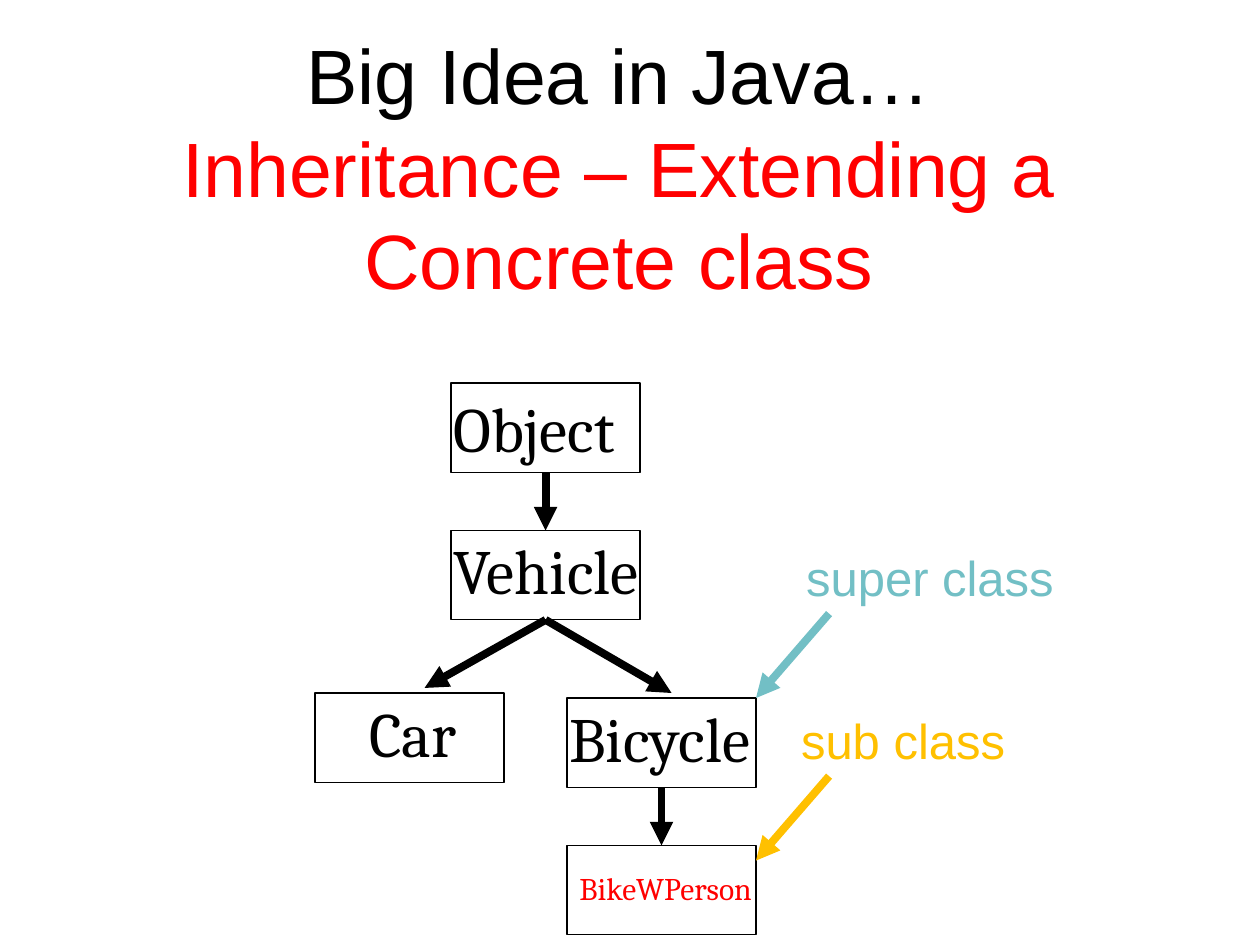
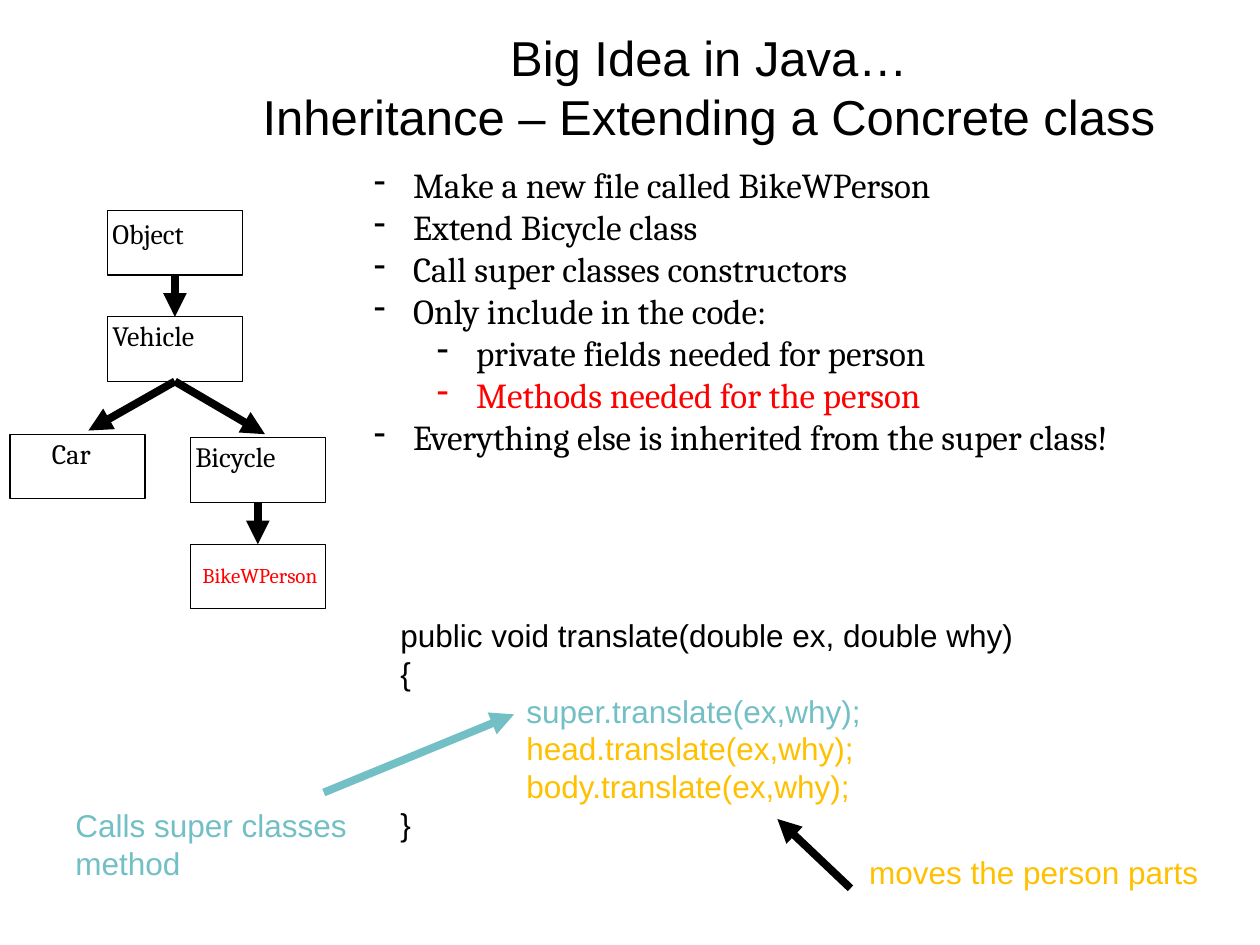
"""Build two slides on extending a concrete class in Java."""
from pptx import Presentation
from pptx.dml.color import RGBColor
from pptx.enum.shapes import MSO_CONNECTOR as Line, MSO_SHAPE as Shape
from pptx.enum.text import MSO_ANCHOR as Anchor, MSO_AUTO_SIZE as Fit, PP_ALIGN as Align
from pptx.oxml.ns import qn
from pptx.util import Inches, Pt
from lxml.etree import SubElement

BLACK, RED, TEAL, GOLD = "000000", "FF0000", "72BFC5", "FFC000"
paint = RGBColor.from_string


def write(shape, lines, size, font="Arial", align=Align.LEFT, pad=(0.1, 0.05, 0.1)):
    """Fill a shape with paragraphs, each a list of (text, colour) runs."""
    frame = shape.text_frame
    frame.word_wrap, frame.auto_size = True, Fit.NONE
    frame.vertical_anchor = Anchor.TOP
    frame.margin_left, frame.margin_top, frame.margin_right = map(Inches, pad)
    frame.margin_bottom = 0
    for i, runs in enumerate(lines):
        para = frame.add_paragraph() if i else frame.paragraphs[0]
        para.alignment = align
        for text, tint in runs:
            run = para.add_run()
            run.text = text
            run.font.size, run.font.name = Pt(size), font
            run.font.color.rgb = paint(tint)
    return frame.paragraphs


def arrow(slide, start, end, tint=BLACK):
    """Draw a thick arrow between two points in inches."""
    line = slide.shapes.add_connector(Line.STRAIGHT, *map(Inches, (*start, *end)))
    line.line.color.rgb, line.line.width = paint(tint), Pt(4.5)
    SubElement(line.line._get_or_add_ln(), qn("a:tailEnd"), type="triangle")
    SubElement(line._element.spPr, qn("a:effectLst"))
    return line


deck = Presentation()
deck.slide_width, deck.slide_height = Inches(10), Inches(7.5)

tree = {
    "Object": (1.08, 0, 0, 0.05),
    "Vehicle": (1.08, 1.17, 0, 0.01),
    "Car": (0, 2.46, 0.41, 0.01),
    "Bicycle": (2, 2.5, 0, 0.01),
    "BikeWPerson": (2, 3.67, 0.08, 0.19),
}
links = [("Object", "Vehicle", None), ("Vehicle", "Car", (0.87, 2.42)),
         ("Vehicle", "Bicycle", (2.83, 2.46)), ("Bicycle", "BikeWPerson", None)]

plans = [
    (7.83, 2.3, 44, RED, 2.5, 3.04, 1, 1, 36, 18, 0.02, 0),
    (9.25, 1.04, 28, BLACK, 0.08, 1.67, 0.715, 0.722, 16, 12, 0.04, 0.01),
]
for wide, high, size, tint, left, top, kx, ky, big, small, inset, sink in plans:
    slide = deck.slides.add_slide(deck.slide_layouts[5])
    title = slide.shapes.title
    title.left, title.top = Inches(1), Inches(0.17)
    title.width, title.height = Inches(wide), Inches(high)
    write(title, [[("Big Idea in Java…", BLACK)],
                  [("Inheritance – Extending a Concrete class", tint)]],
          size, align=Align.CENTER)

    boxes = {}
    for name, (x, y, shift, drop) in tree.items():
        box = slide.shapes.add_shape(
            Shape.RECTANGLE, Inches(left + x * kx), Inches(top + y * ky),
            Inches(1.5 * kx), Inches(0.71 * ky))
        box.shadow.inherit = False
        box.fill.background()
        box.line.color.rgb, box.line.width = paint(BLACK), Pt(0.75)
        last = name == "BikeWPerson"
        write(box, [[(name, RED if last else BLACK)]], small if last else big,
              "Cambria", pad=(inset + shift * kx, sink + drop * ky, 0))
        boxes[name] = box

    for head, child, tip in links:
        x, y = tree[head][:2]
        end = tip or (tree[child][0] + 0.75, tree[child][1])
        line = arrow(slide, (left + (x + 0.75) * kx, top + (y + 0.71) * ky),
                     (left + end[0] * kx, top + end[1] * ky))
        line.begin_connect(boxes[head], 2)
        if not tip:
            line.end_connect(boxes[child], 0)

first, second = deck.slides
code = [
    [("public void translate(double ex, double why)", BLACK)],
    [("{", BLACK)],
    [("\tsuper.translate(ex,why);", TEAL)],
    [("\thead.translate(ex,why);", GOLD)],
    [("\tbody.translate(ex,why);", GOLD)],
    [("}", BLACK)],
]
labels = [
    (first, 6.3, 4.3, 2.3, 0.57, 28, [[("super class", TEAL)]]),
    (first, 6.26, 5.59, 2, 0.57, 28, [[("sub class", GOLD)]]),
    (second, 0.5, 6.35, 2.5, 0.7, 18,
     [[("Calls super classes", TEAL)], [("method", TEAL)]]),
    (second, 3.08, 4.84, 5.5, 1.9, 18, code),
    (second, 6.8, 6.72, 3, 0.4, 18, [[("moves the person parts", GOLD)]]),
]
for slide, x, y, wide, high, size, lines in labels:
    box = slide.shapes.add_textbox(*map(Inches, (x, y, wide, high)))
    for para in write(box, lines, size):
        if para.text.startswith("\t"):
            tabs = SubElement(para._p.get_or_add_pPr(), qn("a:tabLst"))
            SubElement(tabs, qn("a:tab"), pos=str(Inches(1)), algn="l")

arrow(first, (6.58, 4.87), (6, 5.54), TEAL)
arrow(first, (6.58, 6.16), (6, 6.83), GOLD)
arrow(second, (2.57, 6.29), (4.08, 5.67), TEAL)
arrow(second, (6.75, 7.05), (6.17, 6.5))

steps = [
    (0, "Make a new file called BikeWPerson", BLACK),
    (0, "Extend Bicycle class", BLACK),
    (0, "Call super classes constructors", BLACK),
    (0, "Only include in the code:", BLACK),
    (1, "private fields needed for person", BLACK),
    (1, "Methods needed for the person", RED),
    (0, "Everything else is inherited from the super class!", BLACK),
]
notes = second.shapes.add_textbox(*map(Inches, (2.87, 1.25, 6.97, 2.77)))
paras = write(notes, [[(text, tint)] for _, text, tint in steps], 20, "Cambria")
for para, (level, _, _) in zip(paras, steps):
    para.level = level
    props = para._p.get_or_add_pPr()
    props.set("marL", str(Inches(0.31 + 0.5 * level)))
    props.set("indent", str(Inches(-0.31)))
    SubElement(props, qn("a:buFontTx"))
    SubElement(props, qn("a:buChar"), char="-")

deck.save("out.pptx")
